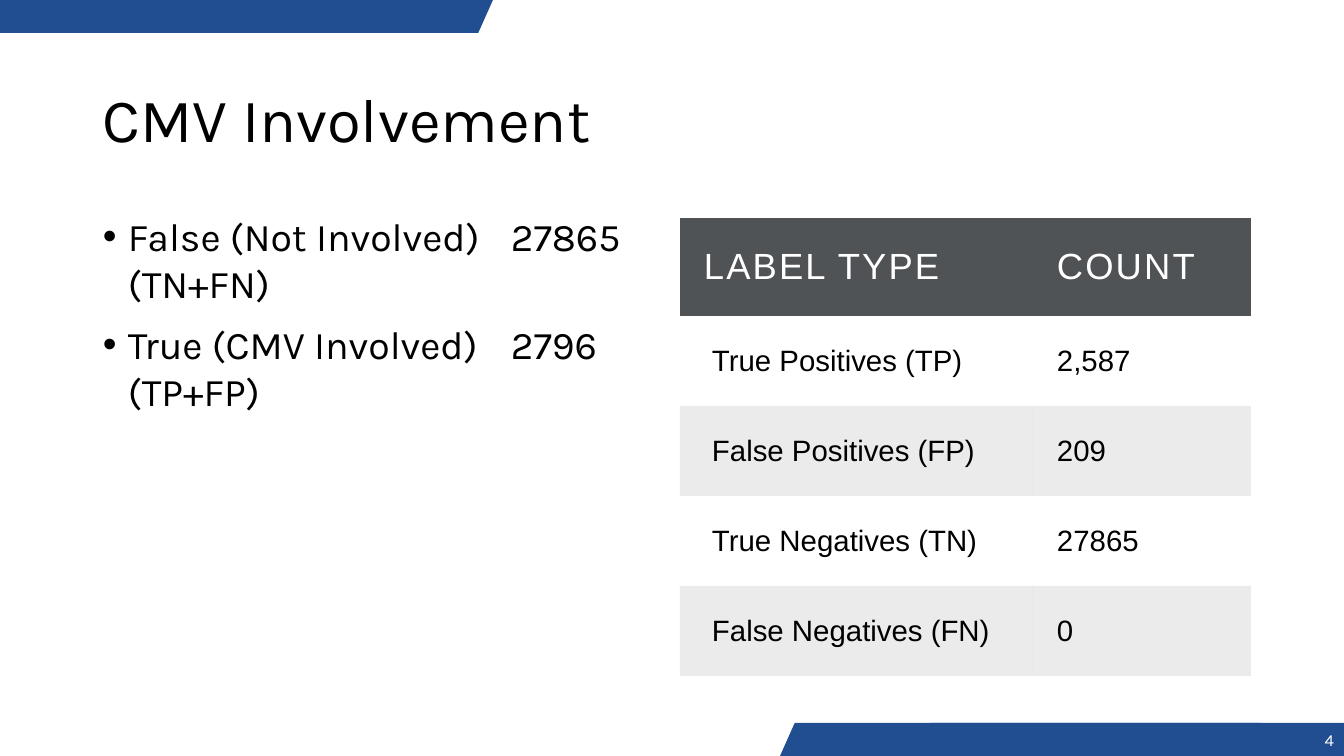
from dataclasses import dataclass

from lxml import etree
from pptx import Presentation
from pptx.dml.color import RGBColor
from pptx.enum.shapes import MSO_SHAPE
from pptx.enum.text import MSO_ANCHOR, PP_ALIGN
from pptx.oxml.ns import qn
from pptx.util import Emu, Pt

SLIDE_W, SLIDE_H = 1344, 756
EMU_PER_PX = 12192000 / SLIDE_W

BLUE = RGBColor(0x21, 0x4E, 0x91)
SLATE = RGBColor(0x50, 0x53, 0x56)
BLACK = RGBColor(0, 0, 0)
WHITE = RGBColor(0xFF, 0xFF, 0xFF)

SLANTED, STRAIGHT = MSO_SHAPE.PARALLELOGRAM, MSO_SHAPE.RECTANGLE
TOP, MIDDLE = MSO_ANCHOR.TOP, MSO_ANCHOR.MIDDLE
RIGHT = PP_ALIGN.RIGHT

TITLE_FONT = dict(name="Karla", size=Pt(44))
BULLET_FONT = dict(name="Karla", size=Pt(28))
NUMBER_FONT = dict(name="Karla", size=Pt(12))
HEADER_FONT = dict(name="Arial", size=Pt(26))
BODY_FONT = dict(name="Arial", size=Pt(21))

NO_GRID_STYLE = "{2D5ABB26-0587-4C30-8999-92F81FD0307C}"
CELL_INSET, LABEL_INDENT = 24, 8
BULLET_INDENT, COUNT_TAB = 25, 408


@dataclass
class Box:
    left: int
    top: int
    width: int
    height: int

    def emu(self) -> list[Emu]:
        return [px(n) for n in (self.left, self.top, self.width, self.height)]


@dataclass
class BandPart:
    preset: MSO_SHAPE
    box: Box


BAND_H = 33
BAND_PARTS = [
    BandPart(SLANTED, Box(780, SLIDE_H - BAND_H, 480, BAND_H)),
    BandPart(STRAIGHT, Box(931, SLIDE_H - BAND_H, 413, BAND_H)),
    BandPart(SLANTED, Box(74, 0, 419, BAND_H)),
    BandPart(STRAIGHT, Box(0, 0, 361, BAND_H)),
]

INVOLVEMENT = [
    "False (Not Involved)\t27865 (TN+FN)",
    "True (CMV Involved)\t2796 (TP+FP)",
]

LABEL_COUNTS = [
    ("LABEL TYPE", "COUNT"),
    ("True Positives (TP)", "2,587"),
    ("False Positives (FP)", "209"),
    ("True Negatives (TN)", "27865"),
    ("False Negatives (FN)", "0"),
]
TABLE_BOX = Box(680, 218, 571, 458)
COLUMN_WIDTHS = [353, 218]
ROW_HEIGHTS = [98] + [90] * 4


def px(length: int) -> Emu:
    return Emu(round(length * EMU_PER_PX))


def apply(target, values: dict) -> None:
    for attribute, value in values.items():
        setattr(target, attribute, value)


def style(paragraph, font: dict, color: RGBColor) -> None:
    apply(paragraph.font, font)
    paragraph.font.color.rgb = color


def add_text(slide, box: Box, anchor, lines: list[str], font: dict, color: RGBColor) -> list:
    frame = slide.shapes.add_textbox(*box.emu()).text_frame
    apply(frame, dict(word_wrap=True, vertical_anchor=anchor))
    frame.text = "\n".join(lines)
    for paragraph in frame.paragraphs:
        style(paragraph, font, color)
    return list(frame.paragraphs)


def add_band_part(slide, part: BandPart) -> None:
    band = slide.shapes.add_shape(part.preset, *part.box.emu())
    band.shadow.inherit = False
    band.fill.solid()
    band.fill.fore_color.rgb = BLUE
    band.line.fill.background()
    if part.preset == SLANTED:
        band.adjustments[0] = 0.447


def add_bullet(paragraph) -> None:
    properties = paragraph._p.get_or_add_pPr()
    properties.set("marL", str(px(BULLET_INDENT)))
    properties.set("indent", str(-px(BULLET_INDENT)))
    bullet_color = etree.Element(qn("a:buClr"))
    etree.SubElement(bullet_color, qn("a:srgbClr"), val=str(BLACK))
    bullet_font = etree.Element(qn("a:buFont"), typeface="Arial")
    bullet = etree.Element(qn("a:buChar"), char="•")
    tabs = etree.Element(qn("a:tabLst"))
    etree.SubElement(tabs, qn("a:tab"), pos=str(px(COUNT_TAB)), algn="l")
    # These precede the default run properties in the schema order
    for place, element in enumerate((bullet_color, bullet_font, bullet, tabs)):
        properties.insert(place, element)


def fill_cell(cell, row: int) -> None:
    if row == 0:
        cell.fill.solid()
        cell.fill.fore_color.rgb = SLATE
    elif row % 2 == 0:
        cell.fill.solid()
        cell.fill.fore_color.rgb = BLACK
        tint = cell._tc.tcPr.find(".//" + qn("a:srgbClr"))
        etree.SubElement(tint, qn("a:alpha"), val="8000")
    else:
        cell.fill.background()


def add_count_table(slide) -> None:
    table = slide.shapes.add_table(
        len(ROW_HEIGHTS), len(COLUMN_WIDTHS), *TABLE_BOX.emu()).table
    apply(table, dict(first_row=False, horz_banding=False))
    table._tbl.tblPr.find(qn("a:tableStyleId")).text = NO_GRID_STYLE
    for column, width in zip(table.columns, COLUMN_WIDTHS):
        column.width = px(width)
    for row, height in zip(table.rows, ROW_HEIGHTS):
        row.height = px(height)

    inset = px(CELL_INSET)
    for r, texts in enumerate(LABEL_COUNTS):
        for c, text in enumerate(texts):
            cell = table.cell(r, c)
            indent = LABEL_INDENT if r > 0 and c == 0 else 0
            apply(cell, dict(
                text=text, vertical_anchor=MIDDLE,
                margin_left=px(CELL_INSET + indent), margin_right=inset,
                margin_top=inset, margin_bottom=inset))
            fill_cell(cell, r)
            run = cell.text_frame.paragraphs[0].runs[0]
            if r == 0:
                style(run, HEADER_FONT, WHITE)
                run._r.get_or_add_rPr().set("spc", "150")
            else:
                style(run, BODY_FONT, BLACK)


def main() -> None:
    deck = Presentation()
    apply(deck, dict(slide_width=px(SLIDE_W), slide_height=px(SLIDE_H)))
    slide = deck.slides.add_slide(deck.slide_layouts[6])

    # Corner bands
    for part in BAND_PARTS:
        add_band_part(slide, part)

    # Title
    add_text(slide, Box(93, 45, 1159, 146), MIDDLE, ["CMV Involvement"], TITLE_FONT, BLACK)

    # Involvement totals
    totals = add_text(slide, Box(93, 207, 572, 480), TOP, INVOLVEMENT, BULLET_FONT, BLACK)
    for total in totals:
        add_bullet(total)
    for total in totals[1:]:
        total.space_before = Pt(10)

    # Slide number
    number, = add_text(slide, Box(1291, 723, 53, BAND_H), MIDDLE, ["4"], NUMBER_FONT, WHITE)
    number.alignment = RIGHT

    # Counts by label type
    add_count_table(slide)

    deck.save("out.pptx")


if __name__ == "__main__":
    main()
